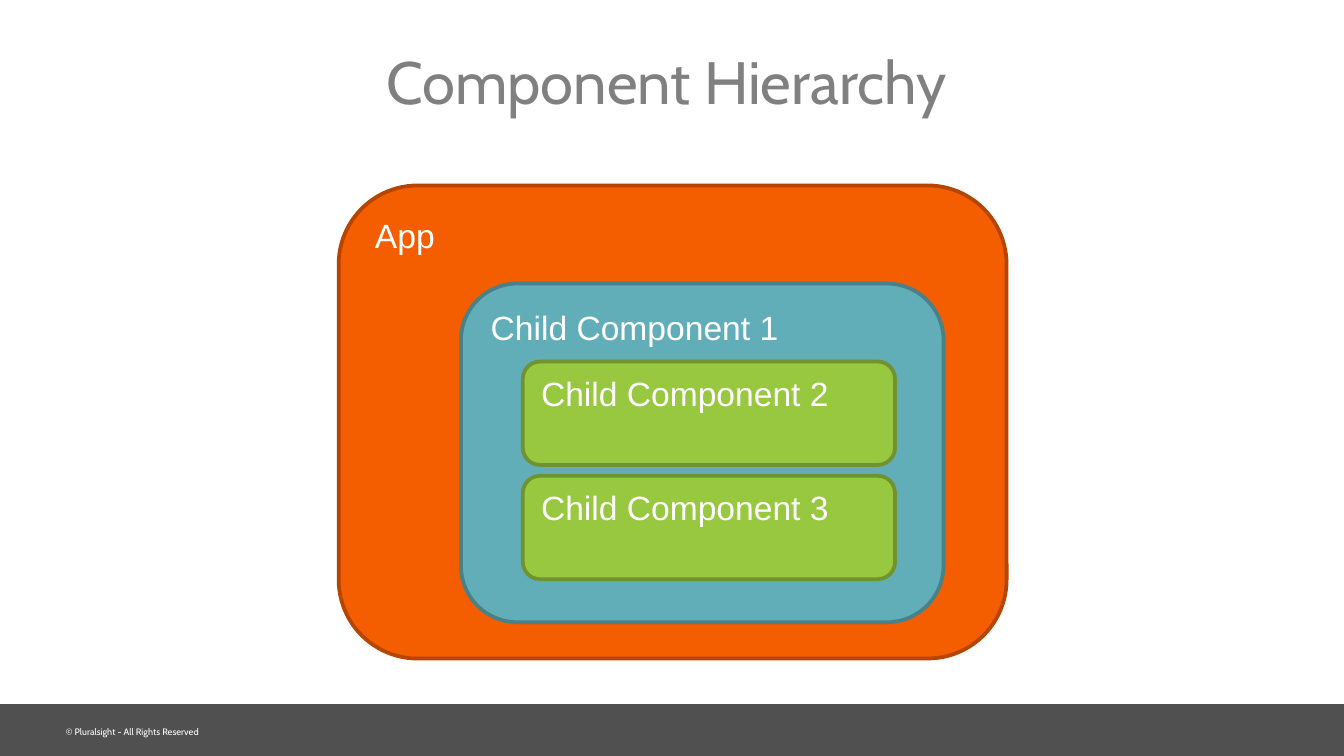
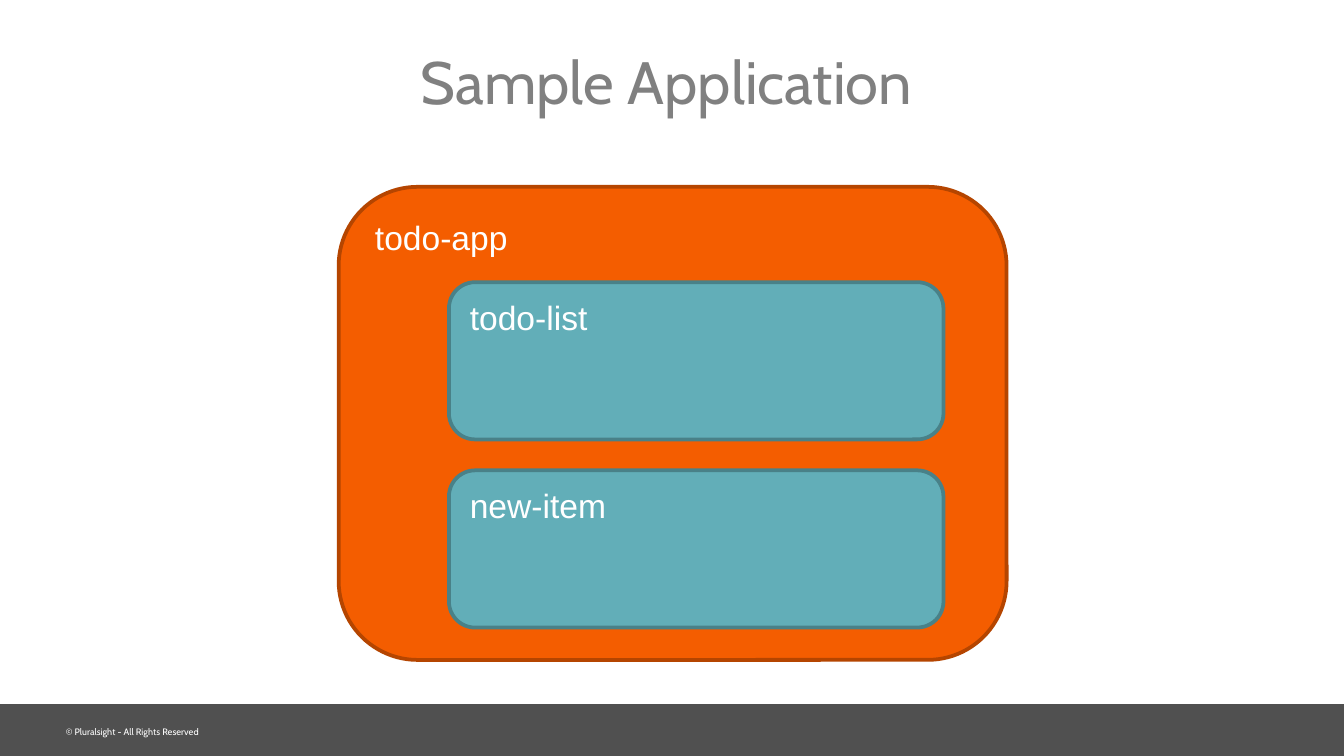
import pptx
import pptx.dml.color
import pptx.enum.shapes
import pptx.enum.text
import pptx.util

Inches = pptx.util.Inches
Shape = pptx.enum.shapes.MSO_SHAPE
Anchor = pptx.enum.text.MSO_ANCHOR
Align = pptx.enum.text.PP_ALIGN
AutoSize = pptx.enum.text.MSO_AUTO_SIZE

THEME = {
    "band": "505050",
    "border": 2,
    # level of nesting: (fill, line)
    "app": ("F45D00", "B54500"),
    "child": ("62AEB8", "498188"),
    "grandchild": ("98C740", "70932F"),
    # text role: (font, size, colour)
    "title": ("Cabin", 32, "808080"),
    "footer": ("Cabin", 5, "FFFFFF"),
    "label": ("Arial", 18, "FFFFFF"),
}

WIDTH = 10
HEIGHT = WIDTH * 9 / 16
BAND_TOP = 5.24
FOOTER = "© Pluralsight - All Rights Reserved"

# Each component: label, nesting level, (left, top, width, height)
PAGES = [
    ("Component Hierarchy", [
        ("App", "app", (2.52, 1.38, 4.97, 3.52)),
        ("Child Component 1", "child", (3.43, 2.11, 3.59, 2.52)),
        ("Child Component 2", "grandchild", (3.89, 2.69, 2.77, 0.77)),
        ("Child Component 3", "grandchild", (3.89, 3.54, 2.77, 0.77)),
    ]),
    ("Sample Application", [
        ("todo-app", "app", (2.52, 1.39, 4.97, 3.52)),
        ("todo-list", "child", (3.34, 2.1, 3.68, 1.17)),
        ("new-item", "child", (3.34, 3.5, 3.68, 1.17)),
    ]),
]


def write(box, text, role, align, insets, **frame_format):
    """Fill a box with one line of text styled by its theme role."""
    frame = box.text_frame
    sides = ("margin_left", "margin_top", "margin_right", "margin_bottom")
    frame_format.update(zip(sides, map(Inches, insets)))
    for name, value in {"word_wrap": True, **frame_format}.items():
        setattr(frame, name, value)
    para = frame.paragraphs[0]
    para.alignment = align
    span = para.add_run()
    span.text = text
    font, size, colour = THEME[role]
    span.font.name = font
    span.font.size = pptx.util.Pt(size)
    span.font.color.rgb = pptx.dml.color.RGBColor.from_string(colour)
    return para


def add_block(page, kind, place, fill, line=None):
    block = page.shapes.add_shape(kind, *map(Inches, place))
    block.shadow.inherit = False
    block.fill.solid()
    block.fill.fore_color.rgb = pptx.dml.color.RGBColor.from_string(fill)
    if line:
        block.line.color.rgb = pptx.dml.color.RGBColor.from_string(line)
        block.line.width = pptx.util.Pt(THEME["border"])
    else:
        block.line.fill.background()
    return block


deck = pptx.Presentation()
deck.slide_width, deck.slide_height = Inches(WIDTH), Inches(HEIGHT)
title_only = deck.slide_layouts[5]

for heading, components in PAGES:
    page = deck.slides.add_slide(title_only)

    add_block(page, Shape.RECTANGLE,
              (0, BAND_TOP, WIDTH, HEIGHT - BAND_TOP), THEME["band"])
    footer = page.shapes.add_textbox(*map(Inches, (0.49, 5.4, 4.26, 0.08)))
    write(footer, FOOTER, "footer", Align.LEFT, (0, 0, 0, 0),
          auto_size=AutoSize.SHAPE_TO_FIT_TEXT)

    title = page.shapes.title
    title.left, title.top, title.width, title.height = map(
        Inches, (0.5, 0.27, 9.02, 0.74))
    para = write(title, heading, "title", Align.CENTER, (0, 0.05, 0.1, 0.05),
                 vertical_anchor=Anchor.MIDDLE, auto_size=AutoSize.NONE)
    para.line_spacing = 0.85

    for label, level, place in components:
        box = add_block(page, Shape.ROUNDED_RECTANGLE, place, *THEME[level])
        write(box, label, "label", Align.LEFT, (0.1, 0.05, 0.1, 0.05),
              vertical_anchor=Anchor.TOP)

deck.save("out.pptx")
